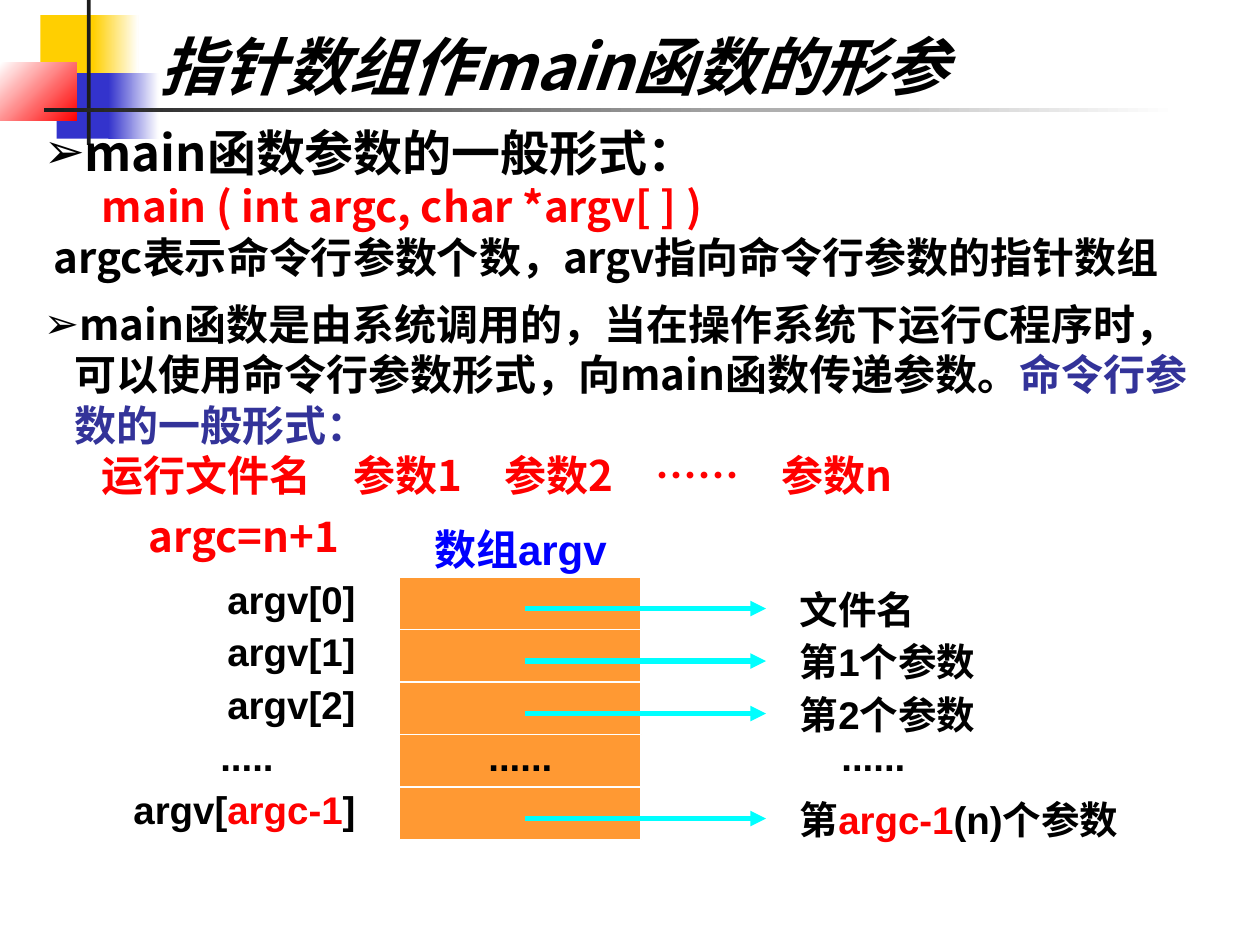
"""Build the slide on a pointer array as the parameter of main."""
import pptx
import pptx.util
import pptx.dml.color
import pptx.enum.shapes
import pptx.enum.text
from lxml import etree
from pptx.oxml.ns import qn

Inches, Pt = pptx.util.Inches, pptx.util.Pt
RGB = pptx.dml.color.RGBColor.from_string
ALIGN = pptx.enum.text.PP_ALIGN
RECTANGLE = pptx.enum.shapes.MSO_SHAPE.RECTANGLE
SANS, CJK = "Arial", "Noto Sans CJK SC"
COLORS = {
    "black": "000000", "white": "FFFFFF", "red": "FF0000", "yellow": "FFCF01",
    "indigo": "3333CC", "ink": "1C1C1C", "orange": "FF9933", "navy": "333399",
    "blue": "0000FF", "cyan": "00FFFF",
}

deck = pptx.Presentation()
deck.slide_width, deck.slide_height = Inches(10), Inches(7.5)
page = deck.slides.add_slide(deck.slide_layouts[6])


def add_rectangle(place, colors, angle=0):
    """Add a rectangle without outline, filled with one colour or a gradient of two."""
    shape = page.shapes.add_shape(RECTANGLE, *[Inches(length) for length in place])
    shape.shadow.inherit = False
    shape.line.fill.background()
    if len(colors) == 1:
        shape.fill.solid()
        shape.fill.fore_color.rgb = RGB(COLORS[colors[0]])
    else:
        shape.fill.gradient()
        shape.fill.gradient_angle = angle
        for stop, color in zip(shape.fill.gradient_stops, colors):
            stop.color.rgb = RGB(COLORS[color])
    return shape


def write(para, spans, size, font, spacing, align=ALIGN.LEFT):
    """Fill a paragraph with bold spans given as (text, colour) or (text, colour, font)."""
    para.alignment = align
    para.line_spacing = spacing
    for text, color, *other_font in spans:
        span = para.add_run()
        span.text = text
        span.font.size = Pt(size)
        span.font.bold = True
        span.font.color.rgb = RGB(COLORS[color])
        span.font.name = other_font[0] if other_font else font
        etree.SubElement(span.font._element, qn("a:ea"), typeface=CJK)


for place, colors, angle in [
    ((0.32, 0.12, 0.48, 0.52), ["yellow"], 0),
    ((0.74, 0.12, 0.36, 0.52), ["yellow", "white"], 0),
    ((0.45, 0.58, 0.46, 0.52), ["indigo"], 0),
    ((0.86, 0.58, 0.4, 0.52), ["indigo", "white"], 0),
    ((0, 0.5, 0.61, 0.46), ["white", "red"], 315),
    ((0.69, 0, 0.03, 1.15), ["ink"], 0),
    ((0.35, 0.86, 9, 0.03), ["ink", "white"], 0),
]:
    add_rectangle(place, colors, angle)

body = page.shapes.add_textbox(Inches(0.25), Inches(0.92), Inches(9.38), Inches(3.08))
body.text_frame.word_wrap = True
body_lines = [
    (True, 0.24, 28, [("main函数参数的一般形式：", "black")]),
    (False, 0.46, 24, [("main ( int argc, char *argv[ ] )", "red")]),
    (False, 0.08, 24, [("argc表示命令行参数个数，argv指向命令行参数的指针数组", "black")]),
    (True, 0.24, 24, [
        ("main函数是由系统调用的，当在操作系统下运行C程序时，可以使用命令行参数形式，向main函数传递参数。", "black"),
        ("命令行参数的一般形式：", "navy"),
    ]),
    (False, 0.46, 24, [
        ("运行文件名　参数1　参数2　", "red"), ("……", "red", SANS), ("　参数n", "red"),
    ]),
]
for index, (bulleted, indent, size, spans) in enumerate(body_lines):
    para = body.text_frame.add_paragraph() if index else body.text_frame.paragraphs[0]
    properties = para._p.get_or_add_pPr()
    properties.set("marL", str(Inches(indent)))
    properties.set("hangingPunct", "0")
    if bulleted:
        properties.set("indent", str(-Inches(indent)))
        bullet_color = etree.SubElement(properties, qn("a:buClr"))
        etree.SubElement(bullet_color, qn("a:srgbClr"), val=COLORS["black"])
        etree.SubElement(properties, qn("a:buFont"), typeface=SANS)
        etree.SubElement(properties, qn("a:buChar"), char="➢")
        if index:
            para.space_before = Pt(9.6)
    write(para, spans, size, CJK, Pt(size * 1.2))

row_height = 1.25 / 3
rows = [
    ([("argv[0]", "black")], [("文件名", "black")]),
    ([("argv[1]", "black")], [("第1个参数", "black")]),
    ([("argv[2]", "black")], [("第2个参数", "black")]),
    ([(".....", "black")], [("......", "black")]),
    ([("argv[", "black"), ("argc-1", "red"), ("]", "black")],
     [("第", "black"), ("argc-1", "red"), ("(n)个参数", "black")]),
]
labels = [((3.17, 4.17, 1.92), [("数组argv", "blue")], 24, 0.9, ALIGN.CENTER)]
for index, (element, meaning) in enumerate(rows):
    top = 4.58 + index * row_height
    cell = add_rectangle((3.17, top, 1.92, row_height), ["orange"])
    cell.line.color.rgb = RGB(COLORS["white"])
    cell.line.width = Pt(1)
    if index == 3:
        cell.text_frame.word_wrap = False
        write(cell.text_frame.paragraphs[0], [("......", "black")], 22, SANS, 0.8, ALIGN.CENTER)
        labels.append(((1, top, 1.92), element, 22, 0.8, ALIGN.CENTER))
        labels.append(((6.58, top, 1.5), meaning, 22, 0.8, ALIGN.LEFT))
    else:
        labels.append(((0.62, top, 2.3), element, 22, 0.8, ALIGN.RIGHT))
        labels.append(((6.25, top + 0.08, 3.2), meaning, 22, 0.8, ALIGN.LEFT))

for (left, top, width), spans, size, spacing, align in labels:
    label = page.shapes.add_textbox(Inches(left), Inches(top), Inches(width), Inches(row_height))
    label.text_frame.word_wrap = True
    label.text_frame.vertical_anchor = pptx.enum.text.MSO_ANCHOR.MIDDLE
    write(label.text_frame.paragraphs[0], spans, size, SANS, spacing, align)

for index in (0, 1, 2, 4):
    height = Inches(4.83 + index * row_height)
    arrow = page.shapes.add_connector(
        pptx.enum.shapes.MSO_CONNECTOR.STRAIGHT, Inches(4.17), height, Inches(6.08), height)
    arrow.line.color.rgb = RGB(COLORS["cyan"])
    arrow.line.width = Pt(3)
    etree.SubElement(arrow.line._get_or_add_ln(), qn("a:tailEnd"), type="triangle")
    etree.SubElement(arrow._element.spPr, qn("a:effectLst"))

for place, text, color, size, italic in [
    ((1.17, 0.17, 6.75, 0.67), "指针数组作main函数的形参", "black", 36, True),
    ((1.08, 4, 2.25, 0.5), "argc=n+1", "red", 24, False),
]:
    box = page.shapes.add_textbox(*[Inches(length) for length in place])
    box.text_frame.word_wrap = True
    para = box.text_frame.paragraphs[0]
    write(para, [(text, color)], size, CJK, Pt(size * 1.2))
    para.runs[0].font.italic = italic

deck.save("out.pptx")
